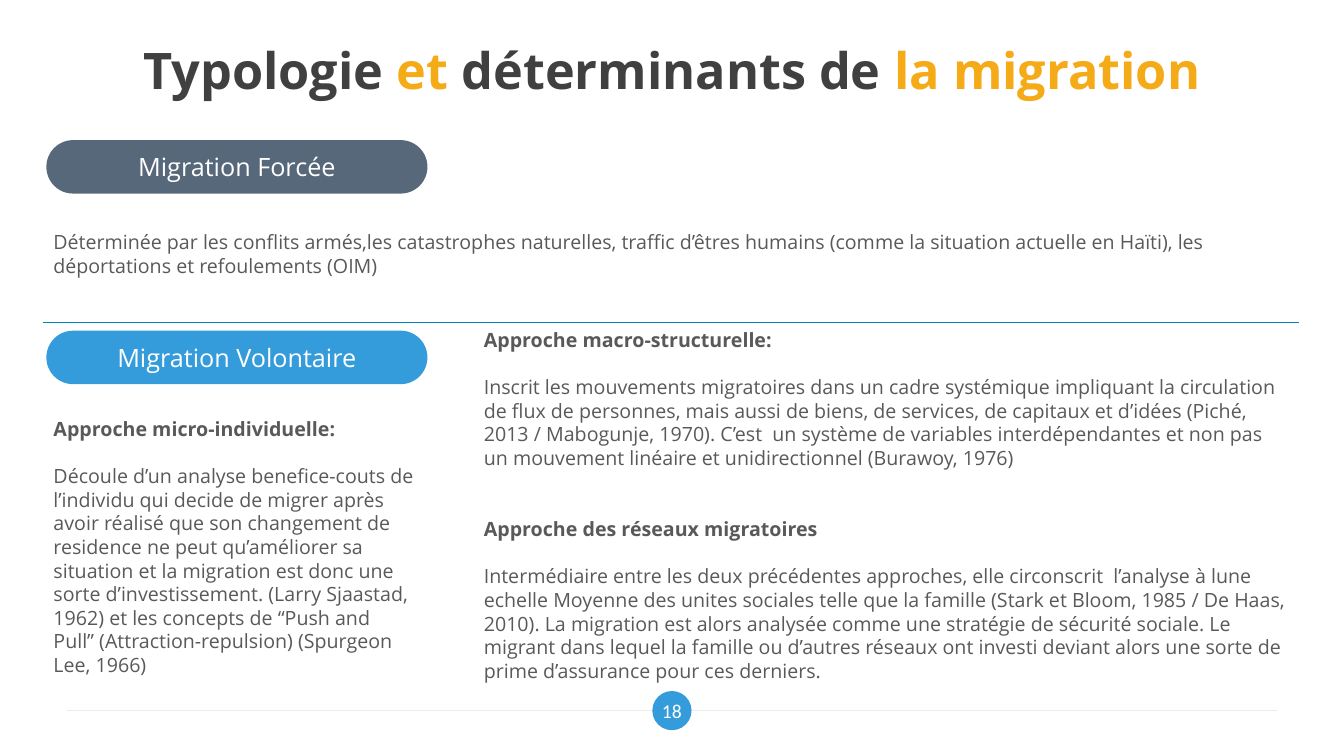
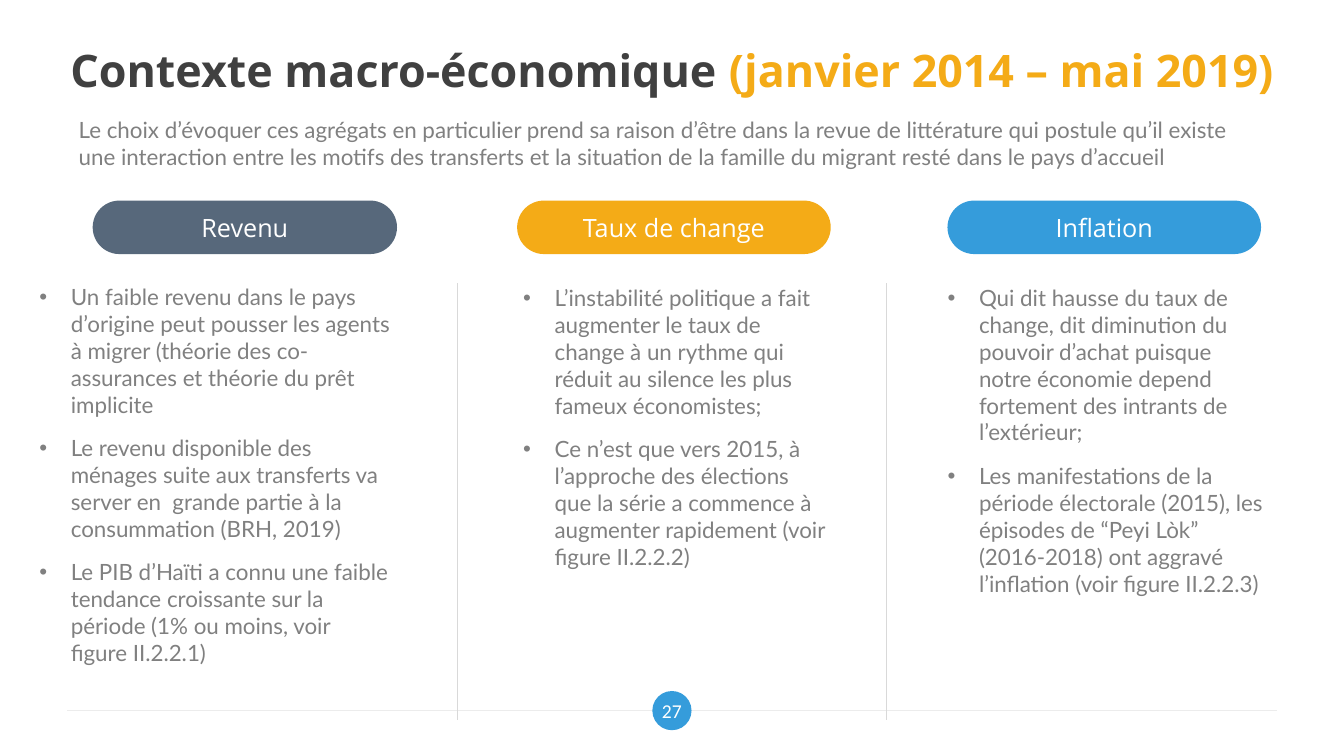
from lxml import etree
from pptx import Presentation
from pptx.dml.color import RGBColor
from pptx.enum.shapes import MSO_CONNECTOR, MSO_SHAPE
from pptx.enum.text import MSO_ANCHOR, MSO_AUTO_SIZE, PP_ALIGN
from pptx.oxml.ns import qn
from pptx.util import Pt

LINE = MSO_CONNECTOR.STRAIGHT
OVAL, PILL = MSO_SHAPE.OVAL, MSO_SHAPE.ROUNDED_RECTANGLE
TOP, MIDDLE = MSO_ANCHOR.TOP, MSO_ANCHOR.MIDDLE
LEFT, CENTER = PP_ALIGN.LEFT, PP_ALIGN.CENTER
FIXED = MSO_AUTO_SIZE.NONE

DARK, GOLD, BLUE, SLATE = "404040", "F4AB17", "359CDB", "57687B"
WHITE, GREY, TEXT, RULE = "FFFFFF", "808080", "595959", "D9D9D9"
PALE, TEAL = "ECECEC", "0084BD"
HEAD, BODY, NUM = "Open Sans", "Lato", "Calibri"
PITCH, INDENT = 16.9, 22.5
TWO, FOUR = 3, 4


def tint(code):
    """Return the colour for a hex string."""
    return RGBColor.from_string(code)


def place(shape, at):
    """Move and size a shape, in points."""
    shape.left, shape.top, shape.width, shape.height = map(Pt, at)


def setup(shape, anchor, inset=(7.2, 3.6)):
    """Prepare a text frame and return it."""
    frame = shape.text_frame
    frame.word_wrap, frame.auto_size = True, FIXED
    frame.vertical_anchor = anchor
    frame.margin_left = frame.margin_right = Pt(inset[0])
    frame.margin_top = frame.margin_bottom = Pt(inset[1])
    return frame


def write(para, text, size, font, color, bold=False):
    """Add one formatted run."""
    run = para.add_run()
    run.text = text
    run.font.size, run.font.name, run.font.bold = Pt(size), font, bold
    run.font.color.rgb = tint(color)


def mark(para, bullet):
    """Set a hanging bullet, or no bullet at all."""
    props = para._p.get_or_add_pPr()
    width = Pt(INDENT) if bullet else 0
    props.set("marL", str(width))
    props.set("indent", str(-width))
    if bullet:
        etree.SubElement(props, qn("a:buFont")).set("typeface", "Arial")
        etree.SubElement(props, qn("a:buChar")).set("char", "•")
    else:
        etree.SubElement(props, qn("a:buNone"))


def start(frame, index, bullet=False):
    """Return the next left-aligned paragraph of a frame."""
    para = frame.add_paragraph() if index else frame.paragraphs[0]
    mark(para, bullet)
    para.alignment, para.space_before = LEFT, Pt(0)
    return para


def notes(shape, at, items, bullet=True):
    """Fill a box with grey paragraphs."""
    place(shape, at)
    frame = setup(shape, TOP)
    for index, text in enumerate(items):
        para = start(frame, index, bullet)
        para.space_after = Pt(12)
        write(para, text, 16, BODY, GREY)


def essay(shape, at, parts):
    """Fill a box with texts, each under an optional bold heading."""
    place(shape, at)
    frame = setup(shape, TOP)
    count = 0
    for head, text in parts:
        for words, bold in ((head, True), (text, False)):
            if not words:
                continue
            para = start(frame, count, False)
            para.line_spacing = Pt(PITCH)
            para.space_after = Pt(PITCH if bold else 0)
            if bold and count:
                para.space_before = Pt(2 * PITCH)
            write(para, words, 14, HEAD, TEXT, bold)
            count += 1


def block(slide, kind, at, color):
    """Add a flat filled shape."""
    shape = slide.shapes.add_shape(kind, *map(Pt, at))
    shape.shadow.inherit = False
    shape.fill.solid()
    shape.fill.fore_color.rgb = tint(color)
    shape.line.fill.background()
    return shape


def label(shape, text, size, font):
    """Centre white text in a shape."""
    para = setup(shape, MIDDLE, (0, 0)).paragraphs[0]
    para.alignment = CENTER
    write(para, text, size, font, WHITE)


def pill(slide, left, top, width, text, color):
    """Add a rounded heading."""
    shape = block(slide, PILL, (left, top, width, 38.2), color)
    shape.adjustments[0] = 0.5
    label(shape, text, 18, HEAD)


def rule(slide, ends, color):
    """Add a thin straight line."""
    line = slide.shapes.add_connector(LINE, *map(Pt, ends))
    line.line.color.rgb = tint(color)
    line.line.width = Pt(0.75)
    etree.SubElement(line._element.spPr, qn("a:effectLst"))


def page(deck, layout, at, size, title, number):
    """Add a slide with its title and footer."""
    slide = deck.slides.add_slide(deck.slide_layouts[layout])
    place(slide.shapes.title, at)
    para = setup(slide.shapes.title, MIDDLE, (9.36, 5.04)).paragraphs[0]
    para.alignment = CENTER
    for text, color in title:
        write(para, text, size, HEAD, color, True)
    rule(slide, (48, 507.6, 912, 507.6), PALE)
    label(block(slide, OVAL, (466, 493.6, 28, 28), BLUE), number, 14, NUM)
    return slide


def types(deck):
    """Build the slide on kinds of migration."""
    title = (("Typologie ", DARK), ("et ", GOLD),
             ("déterminants de ", DARK), ("la migration", GOLD))
    slide = page(deck, TWO, (48, 21.6, 864, 56.2), 36, title, "18")
    pill(slide, 33.1, 100.1, 272.2, "Migration Forcée", SLATE)
    pill(slide, 33.1, 236.2, 272.2, "Migration Volontaire", BLUE)
    forced = slide.shapes.add_textbox(0, 0, 0, 0)
    essay(forced, (31, 160.6, 896.4, 41), [(
        "",
        "Déterminée par les conflits armés,les catastrophes naturelles, "
        "traffic d’êtres humains (comme la situation actuelle en Haïti), "
        "les déportations et refoulements (OIM)")])
    essay(slide.placeholders[1], (31, 293.8, 272.2, 193.7), [(
        "Approche micro-individuelle:",
        "Découle d’un analyse benefice-couts de l’individu qui decide de "
        "migrer après avoir réalisé que son changement de residence ne peut "
        "qu’améliorer sa situation et la migration est donc une sorte "
        "d’investissement. (Larry Sjaastad, 1962) et les concepts de “Push "
        "and Pull” (Attraction-repulsion) (Spurgeon Lee, 1966)")])
    essay(slide.placeholders[2], (338.4, 230.4, 590.4, 278.6), [(
        "Approche macro-structurelle:",
        "Inscrit les mouvements migratoires dans un cadre systémique "
        "impliquant la circulation de flux de personnes, mais aussi de "
        "biens, de services, de capitaux et d’idées (Piché, 2013 / "
        "Mabogunje, 1970). C’est  un système de variables interdépendantes "
        "et non pas un mouvement linéaire et unidirectionnel "
        "(Burawoy, 1976)"), (
        "Approche des réseaux migratoires",
        "Intermédiaire entre les deux précédentes approches, elle "
        "circonscrit  l’analyse à lune echelle Moyenne des unites sociales "
        "telle que la famille (Stark et Bloom, 1985 / De Haas, 2010). La "
        "migration est alors analysée comme une stratégie de sécurité "
        "sociale. Le migrant dans lequel la famille ou d’autres réseaux ont "
        "investi deviant alors une sorte de prime d’assurance pour ces "
        "derniers.")])
    rule(slide, (31, 230.4, 928, 230.4), TEAL)


def context(deck):
    """Build the slide on the economic context."""
    title = (("Contexte macro-économique ", DARK),
             ("(janvier 2014 – mai 2019)", GOLD))
    slide = page(deck, FOUR, (20.9, 21.6, 918.7, 56.2), 32, title, "27")
    notes(slide.placeholders[1], (49, 79.2, 862.6, 60), [
        "Le choix d’évoquer ces agrégats en particulier prend sa raison "
        "d’être dans la revue de littérature qui postule qu’il existe une "
        "interaction entre les motifs des transferts et la situation de la "
        "famille du migrant resté dans le pays d’accueil"], False)
    for left in (327, 633):
        rule(slide, (left, 202.3, left, 514), RULE)
    columns = (
        ("Revenu", SLATE, 66.2, 217.4, (20.9, 198.7, 266.4, 283.7), [
            "Un faible revenu dans le pays d’origine peut pousser les "
            "agents à migrer (théorie des co-assurances et théorie du prêt "
            "implicite",
            "Le revenu disponible des ménages suite aux transferts va "
            "server en  grande partie à la consummation (BRH, 2019)",
            "Le PIB d’Haïti a connu une faible tendance croissante sur la "
            "période (1% ou moins, voir figure II.2.2.1)"]),
        ("Taux de change", GOLD, 369.4, 224, (366.5, 199.4, 232.6, 244.8), [
            "L’instabilité politique a fait augmenter le taux de change à "
            "un rythme qui réduit au silence les plus fameux économistes;",
            "Ce n’est que vers 2015, à l’approche des élections que la "
            "série a commence à augmenter rapidement (voir figure "
            "II.2.2.2)"]),
        ("Inflation", BLUE, 676.8, 224, (669.6, 199.4, 242.6, 232.6), [
            "Qui dit hausse du taux de change, dit diminution du pouvoir "
            "d’achat puisque notre économie depend fortement des intrants "
            "de l’extérieur;",
            "Les manifestations de la période électorale (2015), les "
            "épisodes de “Peyi Lòk” (2016-2018) ont aggravé l’inflation "
            "(voir figure II.2.2.3)"]))
    for index, (name, color, left, width, at, items) in enumerate(columns, 2):
        pill(slide, left, 143.3, width, name, color)
        notes(slide.placeholders[index], at, items)


def main():
    """Build and save the deck."""
    deck = Presentation()
    deck.slide_width, deck.slide_height = Pt(960), Pt(540)
    types(deck)
    context(deck)
    deck.save("out.pptx")


if __name__ == "__main__":
    main()
